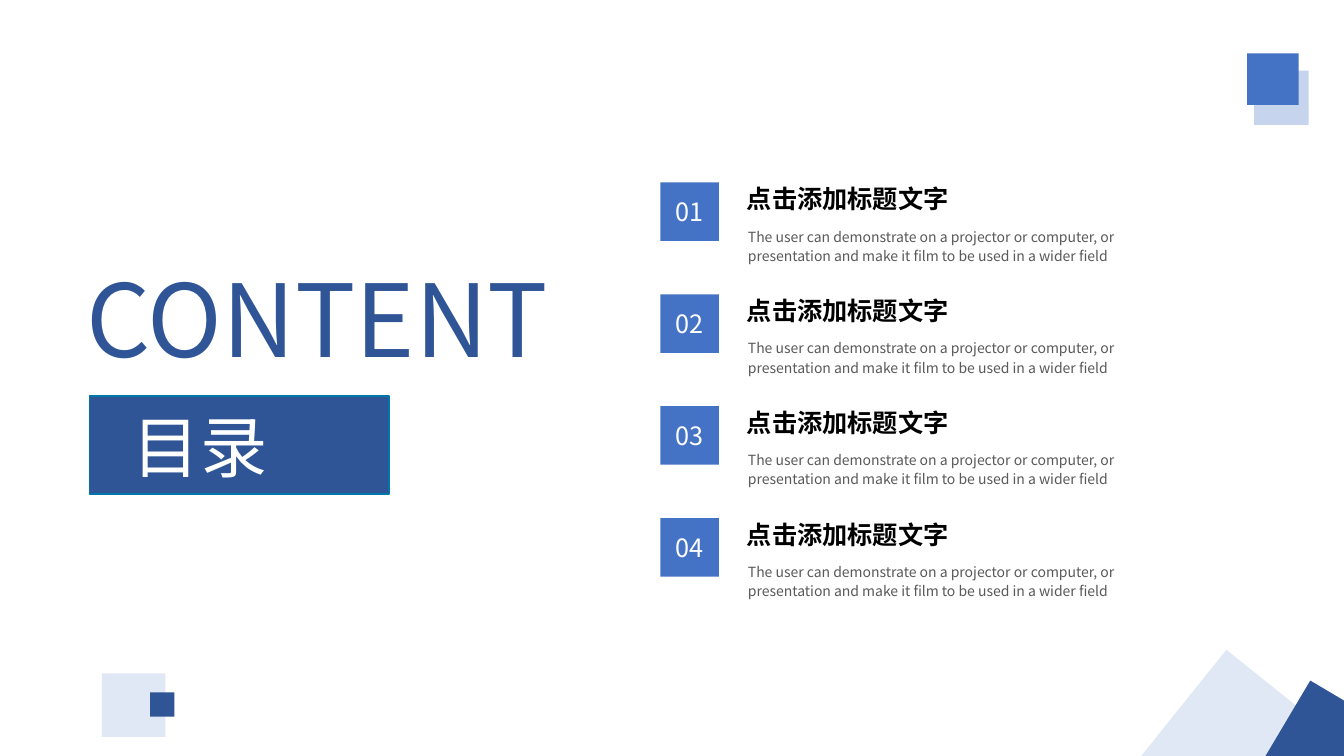
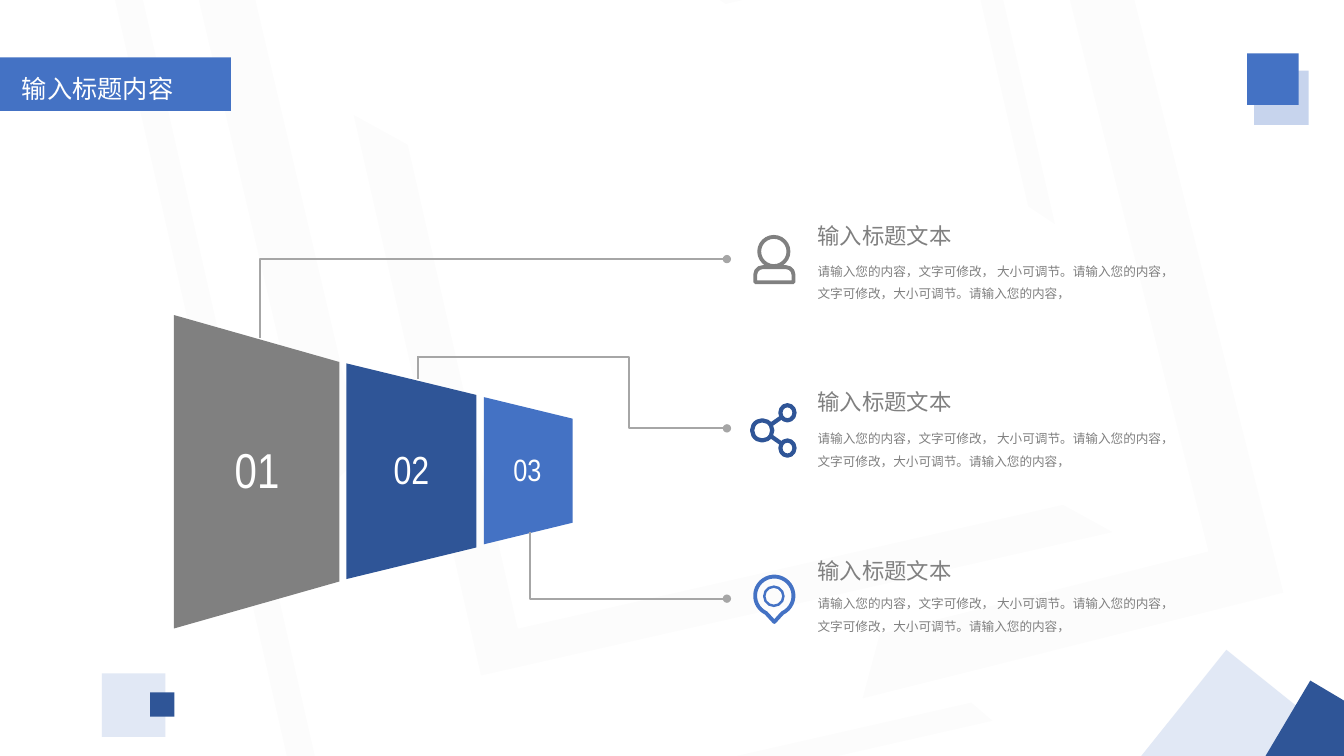
import math

from lxml import etree
from pptx import Presentation
from pptx.dml.color import RGBColor
from pptx.enum.shapes import MSO_CONNECTOR, MSO_SHAPE
from pptx.enum.text import MSO_ANCHOR, PP_ALIGN
from pptx.oxml.ns import qn
from pptx.util import Inches, Pt

WHITE = RGBColor(0xFF, 0xFF, 0xFF)
BLACK = RGBColor(0x00, 0x00, 0x00)
NAVY = RGBColor(0x2F, 0x55, 0x97)
BLUE = RGBColor(0x44, 0x72, 0xC4)
PALE_BLUE = RGBColor(0xC7, 0xD4, 0xED)
TEAL = RGBColor(0x00, 0x76, 0xA9)
DARK_GRAY = RGBColor(0x59, 0x59, 0x59)
GRAY = RGBColor(0x80, 0x80, 0x80)
LIGHT_GRAY = RGBColor(0xA6, 0xA6, 0xA6)

CJK_FONT = "Noto Sans CJK SC"
NUMBER_FONT = "Arial Narrow"

RECTANGLE = MSO_SHAPE.RECTANGLE
OVAL = MSO_SHAPE.OVAL
TRAPEZOID = MSO_SHAPE.TRAPEZOID
HALF_FRAME = MSO_SHAPE.HALF_FRAME
ROUND_TOP = MSO_SHAPE.ROUND_2_SAME_RECTANGLE
STRAIGHT = MSO_CONNECTOR.STRAIGHT
ELBOW = MSO_CONNECTOR.ELBOW
LEFT = PP_ALIGN.LEFT
CENTER = PP_ALIGN.CENTER
MIDDLE = MSO_ANCHOR.MIDDLE


def add_box(slide, kind, at, fill=None, line=None, width=1, opacity=100, rotation=0, adjust=()):
    shape = slide.shapes.add_shape(kind, *map(Inches, at))
    shape.shadow.inherit = False
    shape.rotation = rotation
    for index, value in enumerate(adjust):
        shape.adjustments[index] = value
    if fill is None:
        shape.fill.background()
    else:
        shape.fill.solid()
        shape.fill.fore_color.rgb = fill
        if opacity < 100:
            color = shape._element.spPr.find(qn("a:solidFill"))[0]
            etree.SubElement(color, qn("a:alpha"), val=str(opacity * 1000))
    if line is None:
        shape.line.fill.background()
    else:
        shape.line.color.rgb = line
        shape.line.width = Pt(width)
    return shape


def add_text(slide, at, text, size, color, font=CJK_FONT, align=LEFT, bold=False,
             spacing=None, inset=True, shape=None):
    """Write one paragraph in the given shape, or else in a new text box."""
    box = shape or slide.shapes.add_textbox(*map(Inches, at))
    frame = box.text_frame
    frame.word_wrap = True
    if not inset:
        frame.margin_left = frame.margin_right = frame.margin_top = frame.margin_bottom = 0
    paragraph = frame.paragraphs[0]
    paragraph.text = text
    paragraph.alignment = align
    if spacing:
        paragraph.line_spacing = spacing
    paragraph.font.size = Pt(size)
    paragraph.font.bold = bold
    paragraph.font.color.rgb = color
    paragraph.font.name = font
    etree.SubElement(paragraph.font._rPr, qn("a:ea"), typeface=font)
    return paragraph


presentation = Presentation()
presentation.slide_width = Inches(13.33)
presentation.slide_height = Inches(7.5)
blank = presentation.slide_layouts[6]

# Contents
contents = presentation.slides.add_slide(blank)
add_box(contents, RECTANGLE, (0.89, 3.93, 2.97, 0.97), NAVY, TEAL)
add_text(contents, (0.76, 2.63, 5.26, 1.19), "CONTENT", 72, NAVY, spacing=0.9)
add_text(contents, (1.22, 3.97, 2.25, 0.91), "目录", 48, WHITE)

for row in range(4):
    top = 1.81 + 1.11 * row
    badge = add_box(contents, RECTANGLE, (6.55, top, 0.58, 0.58), BLUE)
    badge.text_frame.vertical_anchor = MIDDLE
    add_text(contents, None, f"{row + 1:02}", 18, WHITE, align=CENTER, shape=badge)
    add_text(contents, (7.31, top - 0.04, 2.81, 0.4), "点击添加标题文字", 18, BLACK, bold=True)
    add_text(contents, (7.32, top + 0.38, 3.9, 0.47),
             "The user can demonstrate on a projector or computer, or presentation "
             "and make it film to be used in a wider field",
             10, DARK_GRAY, spacing=1.14)

# Funnel: faint background frames
funnel = presentation.slides.add_slide(blank)
frames = [
    ((4.42, 0, 5.7, 6.42), 257.2, (0.08, 0.065), False),
    ((0.81, -0.06, 9.28, 6.9), 257.2, (0.039, 0.032), False),
    ((7.24, -0.34, 3.01, 2.83), 77, (0.077, 0.052), False),
    ((2.37, -1.66, 9.45, 5.61), 346.8, (0.091, 0.097), False),
    ((5.83, 0.5, 7.74, 4.3), 75.9, (0.144, 0.134), True),
]
for at, rotation, adjust, flipped in frames:
    frame_shape = add_box(funnel, HALF_FRAME, at, LIGHT_GRAY, opacity=3,
                          rotation=rotation, adjust=adjust)
    if flipped:
        frame_shape._element.spPr.find(qn("a:xfrm")).set("flipH", "1")

add_box(funnel, RECTANGLE, (0, 0.57, 2.29, 0.53), BLUE)
add_text(funnel, (0.12, 0.68, 2.17, 0.43), "输入标题内容", 18, WHITE)

# Funnel: segments with their numbers
segments = [
    ((0.99, 3.86, 3.11, 1.64), 0.284, GRAY, (2.21, 4.36, 0.68, 0.59), 35),
    ((3.01, 4.03, 2.14, 1.29), 0.243, NAVY, (3.74, 4.42, 0.68, 0.47), 28),
    ((4.51, 4.23, 1.46, 0.88), 0.243, BLUE, (4.89, 4.47, 0.68, 0.37), 22),
]
for number, (at, slope, color, number_at, size) in enumerate(segments, 1):
    add_box(funnel, TRAPEZOID, at, color, rotation=90, adjust=(slope,))
    add_text(funnel, number_at, f"{number:02}", size, WHITE, NUMBER_FONT, CENTER, inset=False)

# Funnel: leaders to the texts, and the bars of the share icon
connectors = [
    (ELBOW, (7.21, 2.57, 2.58, 3.35), LIGHT_GRAY, 1.5, "bentConnector2", "headEnd"),
    (ELBOW, (4.16, 3.54, 7.21, 4.25), LIGHT_GRAY, 1.5, "bentConnector3", "tailEnd"),
    (STRAIGHT, (4.15, 3.53, 4.15, 3.76), LIGHT_GRAY, 1.5, "line", None),
    (ELBOW, (7.21, 5.94, 5.26, 5.28), LIGHT_GRAY, 1.5, "bentConnector2", "headEnd"),
    (STRAIGHT, (7.65, 4.21, 7.75, 4.14), NAVY, 3, "line", None),
    (STRAIGHT, (7.65, 4.33, 7.75, 4.4), NAVY, 3, "line", None),
]
for kind, ends, color, width, preset, dot in connectors:
    connector = funnel.shapes.add_connector(kind, *map(Inches, ends))
    connector.line.color.rgb = color
    connector.line.width = Pt(width)
    properties = connector._element.spPr
    geometry = properties.find(qn("a:prstGeom"))
    geometry.set("prst", preset)
    if preset == "bentConnector3":
        guides = geometry.find(qn("a:avLst"))
        etree.SubElement(guides, qn("a:gd"), name="adj1", fmla="val 68300")
    if dot:
        etree.SubElement(properties.find(qn("a:ln")), qn(f"a:{dot}"), type="oval")
    etree.SubElement(properties, qn("a:effectLst"))

# Funnel: person, share and pin icons
add_box(funnel, OVAL, (7.53, 2.35, 0.29, 0.29), line=GRAY, width=2.75)
add_box(funnel, ROUND_TOP, (7.49, 2.65, 0.38, 0.15), line=GRAY, width=2.75, adjust=(0.5, 0))
for circle in [(7.46, 4.17, 0.2, 0.2), (7.74, 4.02, 0.14, 0.15), (7.74, 4.37, 0.14, 0.15)]:
    add_box(funnel, OVAL, circle, line=NAVY, width=3)
add_box(funnel, OVAL, (7.58, 5.82, 0.19, 0.19), line=BLUE, width=1.75)

outline = []
for angle in range(115, 426, 10):
    turn = math.radians(angle)
    outline.append((Inches(7.68 + 0.19 * math.cos(turn)), Inches(5.91 + 0.19 * math.sin(turn))))
builder = funnel.shapes.build_freeform(Inches(7.68), Inches(6.17))
builder.add_line_segments(outline, close=True)
pin = builder.convert_to_shape()
pin.shadow.inherit = False
pin.fill.background()
pin.line.color.rgb = BLUE
pin.line.width = Pt(2.75)

# Funnel: texts
for title_top, body_top in [(2.2, 2.54), (3.85, 4.2), (5.53, 5.84)]:
    add_text(funnel, (8.11, title_top, 1.73, 0.27), "输入标题文本", 16, GRAY, inset=False)
    body = add_text(funnel, (8.11, body_top, 3.5, 0.51),
                    "请输入您的内容，文字可修改， 大小可调节。请输入您的内容，"
                    "文字可修改，大小可调节。请输入您的内容，",
                    9, GRAY, spacing=1.5, inset=False)
    body.space_before = Pt(2)

# Corner squares on every slide
corner_squares = [
    ((12.44, 0.7, 0.54, 0.54), PALE_BLUE, 100, 0),
    ((11.53, 6.75, 1.5, 1.5), PALE_BLUE, 53, 308.7),
    ((1.01, 6.68, 0.63, 0.63), PALE_BLUE, 53, 0),
    ((1.49, 6.87, 0.24, 0.24), NAVY, 100, 0),
    ((12.37, 0.53, 0.51, 0.51), BLUE, 100, 0),
    ((12.7, 6.92, 0.91, 0.91), NAVY, 100, 300.7),
]
for slide in presentation.slides:
    for at, color, opacity, rotation in corner_squares:
        add_box(slide, RECTANGLE, at, color, opacity=opacity, rotation=rotation)

presentation.save("out.pptx")
